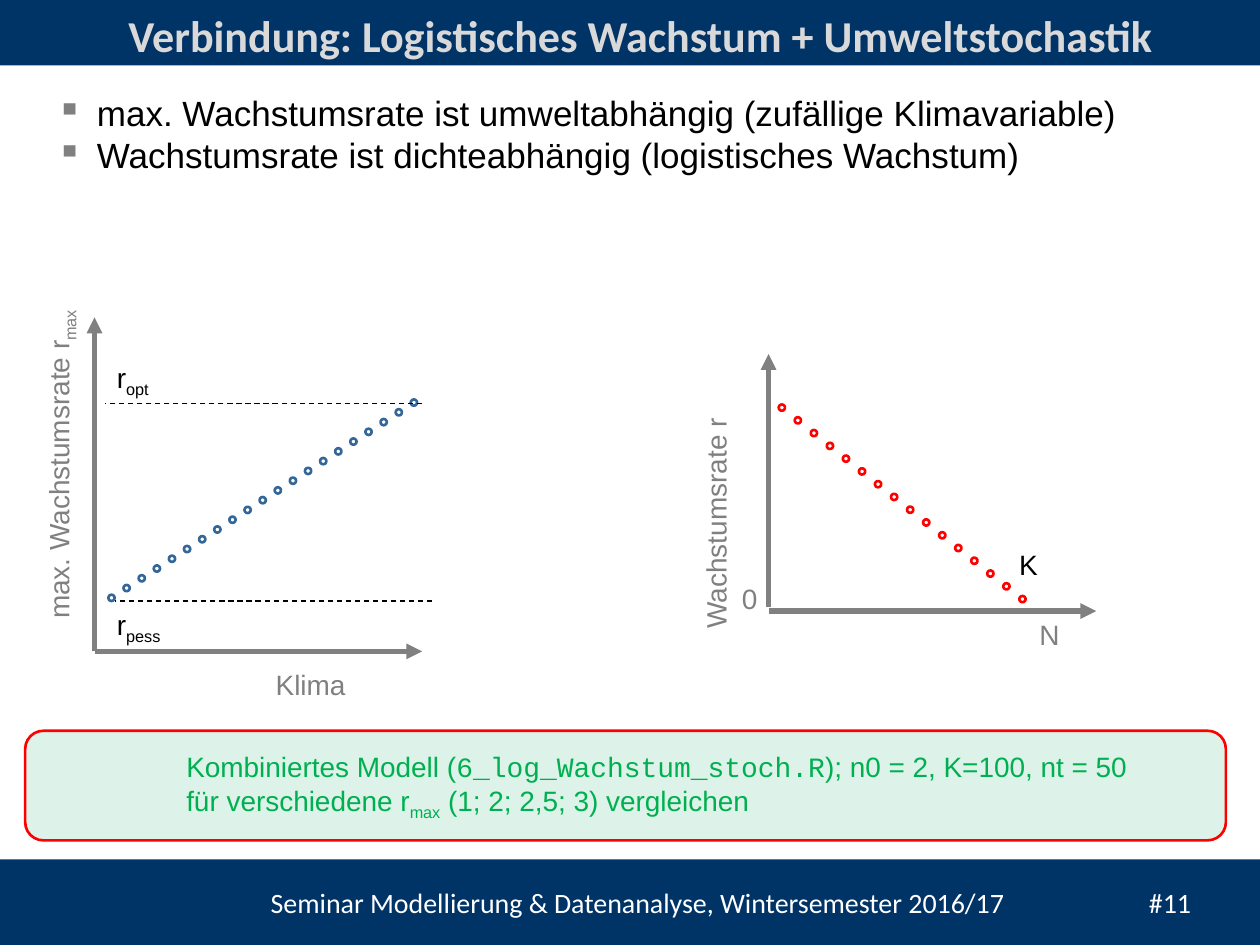
import pptx
import pptx.dml.color
import pptx.enum.dml
import pptx.enum.shapes
import pptx.enum.text
import pptx.oxml.ns
import pptx.util
from lxml import etree

COLUMNS, ROWS = 100, 75
SLIDE_WIDTH, SLIDE_HEIGHT = pptx.util.Inches(10), pptx.util.Inches(7.5)
COLORS = {
    "navy": "003366", "white": "FFFFFF", "title": "D9D9D9", "gray": "808080",
    "black": "000000", "red": "FF0000", "blue": "336699", "mint": "DDF3EA",
    "green": "00B050",
}
SHAPES = pptx.enum.shapes.MSO_SHAPE


def x(columns):
    return round(SLIDE_WIDTH * columns / COLUMNS)


def y(rows):
    return round(SLIDE_HEIGHT * rows / ROWS)


def place(left, top, width, height):
    return x(left), y(top), x(width), y(height)


def rgb(name):
    return pptx.dml.color.RGBColor.from_string(COLORS[name])


def add_xml(parent, tag, **attributes):
    return etree.SubElement(parent, pptx.oxml.ns.qn(tag), attributes)


def add_shape(parent, kind, box, fill=None, line=None):
    shape = parent.shapes.add_shape(kind, *place(*box))
    shape.shadow.inherit = False
    if fill:
        shape.fill.solid()
        shape.fill.fore_color.rgb = rgb(fill)
    else:
        shape.fill.background()
    if line:
        shape.line.color.rgb = rgb(line)
        shape.line.width = pptx.util.Pt(1.5)
    else:
        shape.line.fill.background()
    return shape


def add_line(slide, start, end, color="gray", width=3, arrow=True):
    line = slide.shapes.add_connector(
        pptx.enum.shapes.MSO_CONNECTOR.STRAIGHT,
        x(start[0]), y(start[1]), x(end[0]), y(end[1]))
    line.line.color.rgb = rgb(color)
    line.line.width = pptx.util.Pt(width)
    if arrow:
        add_xml(line.line._get_or_add_ln(), "a:tailEnd", type="triangle")
    else:
        line.line.dash_style = pptx.enum.dml.MSO_LINE.DASH
    add_xml(line._element.spPr, "a:effectLst")


def add_bullet(paragraph, hanging):
    properties = paragraph._p.get_or_add_pPr()
    properties.set("marL", str(hanging))
    properties.set("indent", str(-hanging))
    add_xml(add_xml(properties, "a:buClr"), "a:srgbClr", val=COLORS["gray"])
    add_xml(properties, "a:buChar", char="▪")


def add_tab(paragraph, position):
    tabs = add_xml(paragraph._p.get_or_add_pPr(), "a:tabLst")
    add_xml(tabs, "a:tab", pos=str(position), algn="l")


def add_text(slide, box, *paragraphs, size=16, font="Arial", color="gray", bold=False,
             centered=False, rotation=0, wrap=True, bullets=False, tab=None):
    textbox = slide.shapes.add_textbox(*place(*box))
    textbox.rotation = rotation
    frame = textbox.text_frame
    frame.word_wrap = wrap
    for index, runs in enumerate(paragraphs):
        paragraph = frame.add_paragraph() if index else frame.paragraphs[0]
        if centered:
            paragraph.alignment = pptx.enum.text.PP_ALIGN.CENTER
        if bullets:
            add_bullet(paragraph, x(3.2))
        if tab:
            add_tab(paragraph, x(tab))
        for content, style in runs:
            run = paragraph.add_run()
            run.text = content
            run.font.size = pptx.util.Pt(size)
            run.font.name = "Courier New" if style == "code" else font
            run.font.bold = bold
            run.font.color.rgb = rgb(color)
            if style == "sub":
                run._r.get_or_add_rPr().set("baseline", "-25000")


def plain(content):
    return [(content, None)]


def subscripted(base, index):
    return [(base, None), (index, "sub")]


def add_dots(parent, first, last, count, color, rotation=0):
    for step in range(count):
        left, top = (a + (b - a) * step / (count - 1) for a, b in zip(first, last))
        dot = add_shape(parent, SHAPES.OVAL, (left, top, 0.5, 0.5), line=color)
        dot.rotation = rotation


def add_frame(slide):
    add_shape(slide, SHAPES.RECTANGLE, (0, 0, COLUMNS, 5.2), fill="navy")
    add_shape(slide, SHAPES.RECTANGLE, (0, 68.2, COLUMNS, 6.8), fill="navy")
    add_text(slide, (20.5, 69.8, 78.3, 3.7),
             plain("Seminar Modellierung & Datenanalyse, Wintersemester 2016/17\t#11"),
             font="Calibri", color="white", tab=69.7)
    add_text(slide, (7.5, 0.2, 86.7, 5),
             plain("Verbindung: Logistisches Wachstum + Umweltstochastik"),
             size=25.2, font="Calibri", color="title", bold=True, centered=True)


def add_climate_plot(slide):
    origin = (7.5, 51.7)
    add_line(slide, origin, (7.5, 25.2))
    add_line(slide, origin, (33.5, 51.7))
    add_text(slide, (20.9, 52.5, 7.6, 3.7), plain("Klima"), wrap=False)
    add_text(slide, (-10.3, 33.3, 29.9, 3.7),
             subscripted("max. Wachstumsrate r", "max"), rotation=270)
    add_dots(slide, (8.6, 47.2), (32.6, 31.7), 21, "blue")
    for left, right, level, label_top, label_width, index in (
            (8.3, 33.5, 32, 28.1, 4.8, "opt"), (9.1, 34.3, 47.7, 47.7, 5.9, "pess")):
        add_line(slide, (right, level), (left, level), color="black", width=0.75, arrow=False)
        add_text(slide, (8.3, label_top, label_width, 3.7),
                 subscripted("r", index), color="black", wrap=False)


def add_density_plot(slide):
    add_line(slide, (61, 48.5), (87, 48.5))
    add_line(slide, (61, 48.2), (61, 28.1))
    add_text(slide, (81.5, 48.5, 3.5, 3.7), plain("N"), wrap=False)
    add_text(slide, (57.9, 45.7, 3.2, 3.7), plain("0"))
    add_text(slide, (46.2, 38.4, 21.2, 3.7), plain("Wachstumsrate r"), rotation=270)
    add_text(slide, (79.9, 43, 4.7, 3.7), plain("K"), color="black")
    add_dots(slide.shapes.add_group_shape(), (61.8, 32.1), (80.9, 47.3), 16, "red", rotation=38.6)


def add_task(slide):
    add_shape(slide, SHAPES.ROUNDED_RECTANGLE, (2, 58, 95.3, 8.7), fill="mint", line="red")
    add_text(slide, (13.8, 59, 79.5, 8.2), [
        ("Kombiniertes Modell (", None),
        ("6_log_Wachstum_stoch.R", "code"),
        ("); n0 = 2, K=100, nt = 50 für verschiedene r", None),
        ("max", "sub"),
        (" (1; 2; 2,5; 3) vergleichen", None),
    ], color="green")


def main():
    presentation = pptx.Presentation()
    presentation.slide_width, presentation.slide_height = SLIDE_WIDTH, SLIDE_HEIGHT
    slide = presentation.slides.add_slide(presentation.slide_layouts[6])
    add_frame(slide)
    add_text(slide, (3.5, 6.8, 96.5, 11.1),
             plain("max. Wachstumsrate ist umweltabhängig (zufällige Klimavariable)"),
             plain("Wachstumsrate ist dichteabhängig (logistisches Wachstum)"),
             size=20, color="black", bullets=True)
    add_climate_plot(slide)
    add_density_plot(slide)
    add_task(slide)
    presentation.save("out.pptx")


if __name__ == "__main__":
    main()
